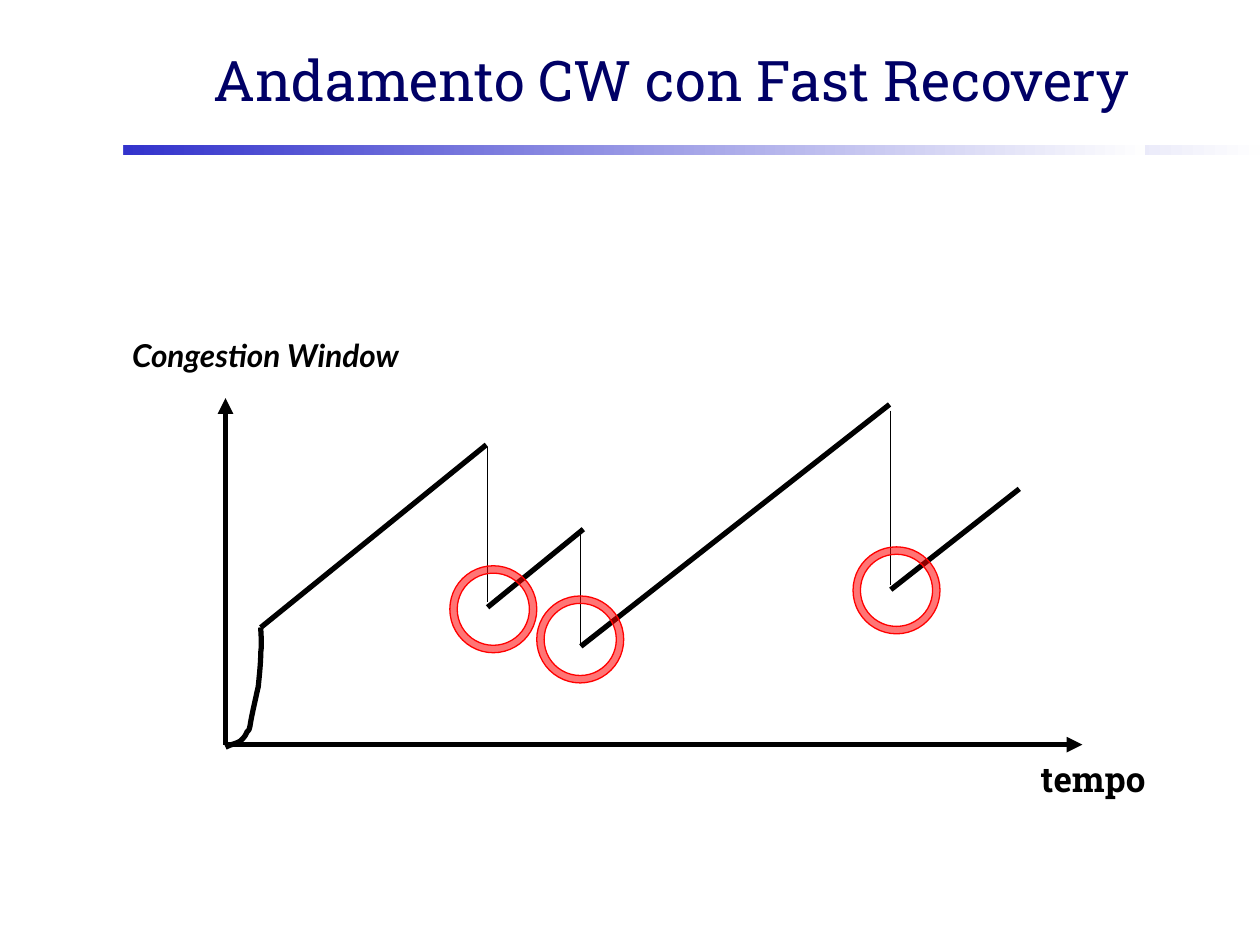
from lxml.etree import SubElement
from pptx import Presentation
from pptx.dml.color import RGBColor
from pptx.enum.shapes import MSO_CONNECTOR as CONN, MSO_SHAPE as SHAPE
from pptx.enum.text import MSO_ANCHOR as ANCHOR, MSO_AUTO_SIZE as AUTO, PP_ALIGN as ALIGN
from pptx.oxml import parse_xml
from pptx.oxml.ns import nsdecls, qn
from pptx.util import Inches, Pt

COLORS = {
    "title": "000066", "shadow": "808080", "ink": "000000",
    "bar": "3333CC", "fade": "FEFEFE", "mark": "FF0000",
}
AXES = [(1.79, 5.91, 1.79, 3.16), (1.8, 5.91, 8.59, 5.91)]
RISES = [(2.07, 4.98, 3.86, 3.53), (3.87, 4.82, 4.63, 4.2),
         (4.61, 5.13, 7.06, 3.21), (7.07, 4.68, 8.09, 3.88)]
DROPS = [(3.87, 3.55, 4.78), (4.61, 4.19, 5.13), (7.07, 3.26, 4.64)]
RINGS = [(6.77, 4.34), (4.26, 4.73), (3.57, 4.49)]
SLOW_START = [(1.79, 5.93), (1.83, 5.91), (1.88, 5.9), (1.91, 5.88),
              (1.93, 5.86), (1.95, 5.84), (1.96, 5.81),
              (1.98, 5.79), (1.98, 5.79), (1.99, 5.73),
              (2, 5.67), (2.03, 5.54), (2.05, 5.45),
              (2.06, 5.35), (2.07, 5.26), (2.07, 5.18),
              (2.08, 5.1), (2.07, 5.02), (2.07, 4.98)]


def rgb(name):
    """Return the named colour."""
    return RGBColor.from_string(COLORS[name])


def add_run(p, text, font, size, color, bold=False, italic=False):
    """Add a formatted run to a paragraph."""
    r = p.add_run()
    r.text = text
    f = r.font
    f.name, f.size, f.bold, f.italic = font, Pt(size), bold, italic
    f.color.rgb = rgb(color)
    return r


def add_bar(s, width):
    """Add a rule that fades from left to right."""
    sp = s.shapes.add_shape(SHAPE.RECTANGLE, Inches(0.98), Inches(1.15),
                            Inches(width), Inches(0.08))
    sp.shadow.inherit = False
    sp.line.fill.background()
    sp.fill.gradient()
    sp.fill.gradient_angle = 0
    for stop, name in zip(sp.fill.gradient_stops, ("bar", "fade")):
        stop.color.rgb = rgb(name)


def set_title(s, text):
    """Fill the title placeholder with shadowed text."""
    sp = s.shapes.title
    sp.left, sp.top, sp.width, sp.height = map(Inches, (1.08, 0.17, 8.5, 0.92))
    tf = sp.text_frame
    tf.vertical_anchor = ANCHOR.MIDDLE
    p = tf.paragraphs[0]
    p.alignment = ALIGN.CENTER
    r = add_run(p, text, "Roboto Slab", 32, "title")
    fill = r.font._element.find(qn("a:solidFill"))
    fill.addnext(parse_xml(
        f'<a:effectLst {nsdecls("a")}><a:outerShdw dist="35921" dir="2700000">'
        f'<a:srgbClr val="{COLORS["shadow"]}"/></a:outerShdw></a:effectLst>'))


def add_label(s, text, box, font, size, align, italic=False):
    """Add a bold axis label."""
    tf = s.shapes.add_textbox(*map(Inches, box)).text_frame
    tf.word_wrap = False
    tf.auto_size = AUTO.SHAPE_TO_FIT_TEXT
    p = tf.paragraphs[0]
    p.alignment = align
    add_run(p, text, font, size, "ink", True, italic)


def add_line(s, ends, width, arrow=False):
    """Add a straight line, with an arrowhead if asked."""
    c = s.shapes.add_connector(CONN.STRAIGHT, *map(Inches, ends))
    c.line.color.rgb = rgb("ink")
    c.line.width = Pt(width)
    if arrow:
        SubElement(c.line._get_or_add_ln(), qn("a:tailEnd"), type="triangle")
    SubElement(c._element.spPr, qn("a:effectLst"))


def bezier(points, steps=8):
    """Return points along a chain of cubic curves."""
    out = [points[0]]
    for i in range(0, len(points) - 1, 3):
        for k in range(1, steps + 1):
            t = k / steps
            weights = ((1 - t) ** 3, 3 * t * (1 - t) ** 2, 3 * t * t * (1 - t), t ** 3)
            out.append(tuple(sum(w * pt[axis] for w, pt in zip(weights, points[i:i + 4]))
                             for axis in (0, 1)))
    return out


def add_curve(s, points):
    """Add an open curve through the control points."""
    start, *rest = [(Inches(x), Inches(y)) for x, y in bezier(points)]
    fb = s.shapes.build_freeform(*start)
    fb.add_line_segments(rest, close=False)
    sp = fb.convert_to_shape()
    sp.shadow.inherit = False
    sp.fill.background()
    sp.line.color.rgb = rgb("ink")
    sp.line.width = Pt(3)


def add_ring(s, left, top):
    """Add a translucent ring around a recovery point."""
    sp = s.shapes.add_shape(SHAPE.DONUT, *map(Inches, (left, top, 0.69, 0.69)))
    sp.shadow.inherit = False
    sp.adjustments[0] = 0.085
    sp.fill.solid()
    sp.fill.fore_color.rgb = rgb("mark")
    color = sp._element.spPr.find(qn("a:solidFill")).find(qn("a:srgbClr"))
    SubElement(color, qn("a:alpha"), val="54000")
    sp.line.color.rgb = rgb("mark")
    sp.line.width = Pt(0.75)


def main():
    """Build the slide and save it."""
    prs = Presentation()
    prs.slide_width, prs.slide_height = Inches(10), Inches(7.5)
    s = prs.slides.add_slide(prs.slide_layouts[5])
    for width in (9.02, 8.11):
        add_bar(s, width)
    set_title(s, "Andamento CW con Fast Recovery")
    add_curve(s, SLOW_START)
    for ends in RISES:
        add_line(s, ends, 3)
    for ends in AXES:
        add_line(s, ends, 3, arrow=True)
    for x, top, bottom in DROPS:
        add_line(s, (x, top, x, bottom), 0.75)
    add_label(s, "Congestion Window", (0.95, 2.62, 2.53, 0.4), "Lato", 18,
              ALIGN.LEFT, italic=True)
    add_label(s, "tempo", (7.74, 5.96, 1.87, 0.44), "Roboto Slab", 20, ALIGN.CENTER)
    for left, top in RINGS:
        add_ring(s, left, top)
    prs.save("out.pptx")


if __name__ == "__main__":
    main()
